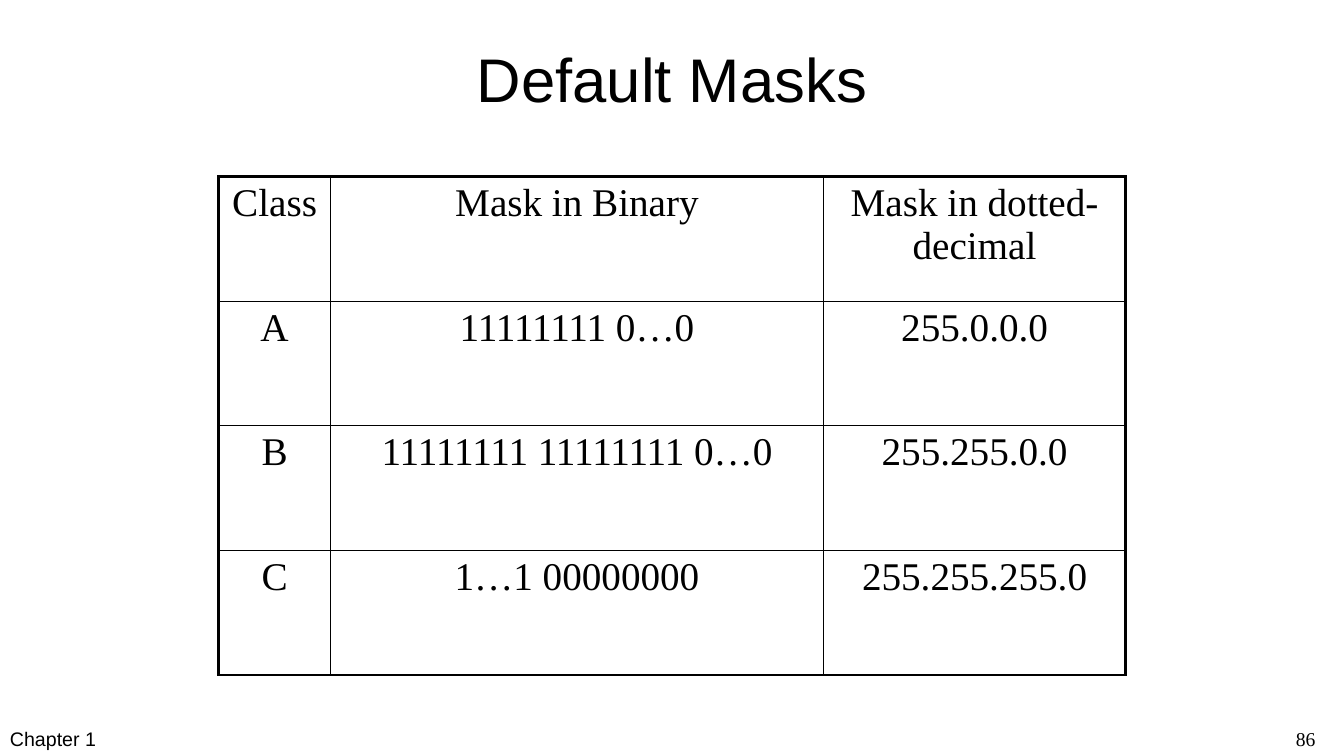
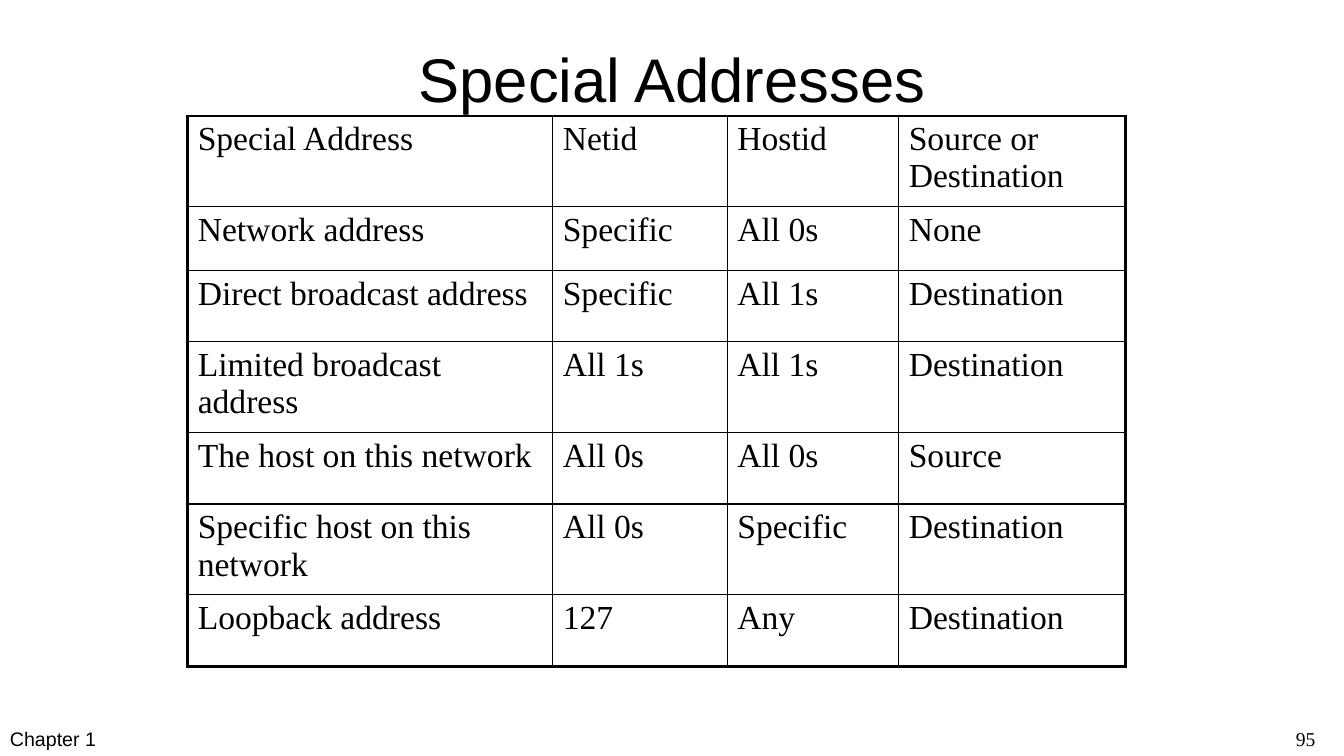
"""Builds two slides of tables about network masks and special addresses."""
import pptx
import pptx.dml.color
import pptx.enum.text
import pptx.oxml
import pptx.oxml.ns
import pptx.util

Cm, Pt = pptx.util.Cm, pptx.util.Pt
ALIGN = pptx.enum.text.PP_ALIGN
ANCHOR = pptx.enum.text.MSO_ANCHOR
HUES = {"ink": "000000"}
SANS, SERIF = "Arial", "Times New Roman"
WIDE, HIGH = 33.87, 19.05
THIN, THICK = 1, 2.25

MASKS = [
    ["Class", "Mask in Binary", "Mask in dotted-decimal"],
    ["A", "11111111 0…0", "255.0.0.0"],
    ["B", "11111111 11111111 0…0", "255.255.0.0"],
    ["C", "1…1 00000000", "255.255.255.0"],
]
HOSTS = [
    ["Special Address", "Netid", "Hostid", "Source or Destination"],
    ["Network address", "Specific", "All 0s", "None"],
    ["Direct broadcast address", "Specific", "All 1s", "Destination"],
    ["Limited broadcast address", "All 1s", "All 1s", "Destination"],
    ["The host on this network", "All 0s", "All 0s", "Source"],
    ["Specific host on this network", "All 0s", "Specific", "Destination"],
    ["Loopback address", "127", "Any", "Destination"],
]


def write(frame, text, font, size, align=ALIGN.LEFT):
    """Write one styled run into a text frame."""
    para = frame.paragraphs[0]
    para.alignment = align
    run = para.add_run()
    run.text = text
    run.font.name = font
    run.font.size = Pt(size)
    run.font.color.rgb = pptx.dml.color.RGBColor.from_string(HUES["ink"])


def label(slide, box, text, font):
    """Add a small footer text in the given box."""
    frame = slide.shapes.add_textbox(*map(Cm, box)).text_frame
    frame.word_wrap = True
    write(frame, text, font, 14)


def start(deck, title, page):
    """Add a slide with its title and footers."""
    slide = deck.slides.add_slide(deck.slide_layouts[5])
    head = slide.shapes.title
    head.left, head.top, head.width, head.height = map(Cm, (1.7, 0.76, 30.48, 3.18))
    frame = head.text_frame
    frame.auto_size = pptx.enum.text.MSO_AUTO_SIZE.NONE
    frame.vertical_anchor = ANCHOR.TOP
    frame.margin_top = Cm(0.28)
    write(frame, title, SANS, 44, ALIGN.CENTER)
    label(slide, (0, HIGH - 0.85, 8.18, 0.85), "Chapter 1", SANS)
    label(slide, (WIDE - 1.46, HIGH - 0.85, 1.1, 0.85), page, SERIF)
    return slide


def edge(cell, widths):
    """Draw the left, right, top and bottom borders of a cell."""
    props = cell._tc.get_or_add_tcPr()
    for spot, (side, width) in enumerate(zip("LRTB", widths)):
        props.insert(spot, pptx.oxml.parse_xml(
            f'<a:ln{side} {pptx.oxml.ns.nsdecls("a")} w="{Pt(width)}">'
            f'<a:solidFill><a:srgbClr val="{HUES["ink"]}"/></a:solidFill>'
            f'</a:ln{side}>'))


def table(slide, left, top, cols, rows, data, size, align):
    """Place a ruled table with a heavy outer frame."""
    box = map(Cm, (left, top, sum(cols), sum(rows)))
    grid = slide.shapes.add_table(len(rows), len(cols), *box).table
    grid.first_row = grid.horz_banding = False
    for col, width in zip(grid.columns, cols):
        col.width = Cm(width)
    for row, height in zip(grid.rows, rows):
        row.height = Cm(height)
    for r, line in enumerate(data):
        for c, text in enumerate(line):
            cell = grid.cell(r, c)
            cell.fill.background()
            cell.vertical_anchor = ANCHOR.TOP
            write(cell.text_frame, text, SERIF, size, align)
            outer = (c == 0, c == len(cols) - 1, r == 0, r == len(rows) - 1)
            edge(cell, [THICK if side else THIN for side in outer])


def main():
    """Build and save the deck."""
    deck = pptx.Presentation()
    deck.slide_width, deck.slide_height = Cm(WIDE), Cm(HIGH)
    slide = start(deck, "Default Masks", "86")
    table(slide, 5.51, 4.45, [2.82, 12.42, 7.62], [3.14] * 4,
          MASKS, 28, ALIGN.CENTER)
    slide = start(deck, "Special Addresses", "95")
    table(slide, 4.73, 2.92, [9.2, 4.4, 4.32, 5.72],
          [2.29, 1.6, 1.8, 2.29, 1.8, 2.29, 1.8], HOSTS, 24, ALIGN.LEFT)
    deck.save("out.pptx")


if __name__ == "__main__":
    main()
